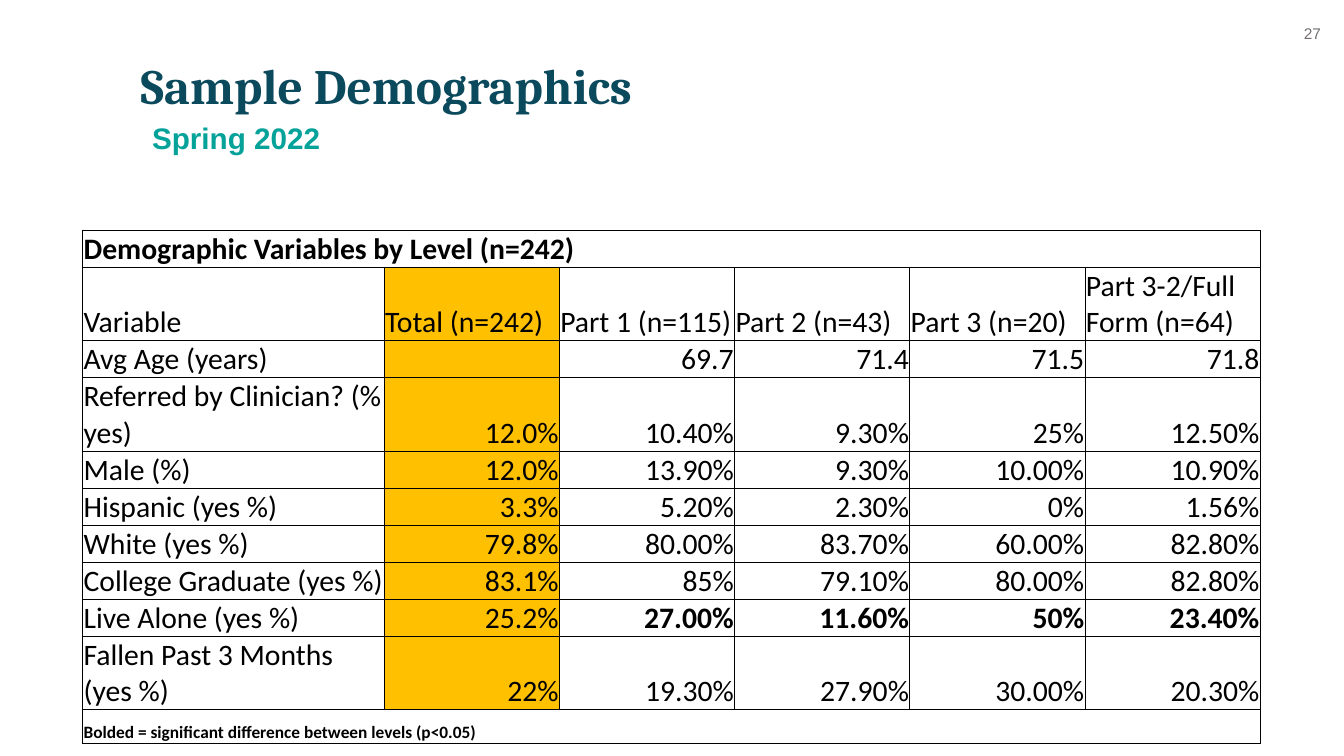
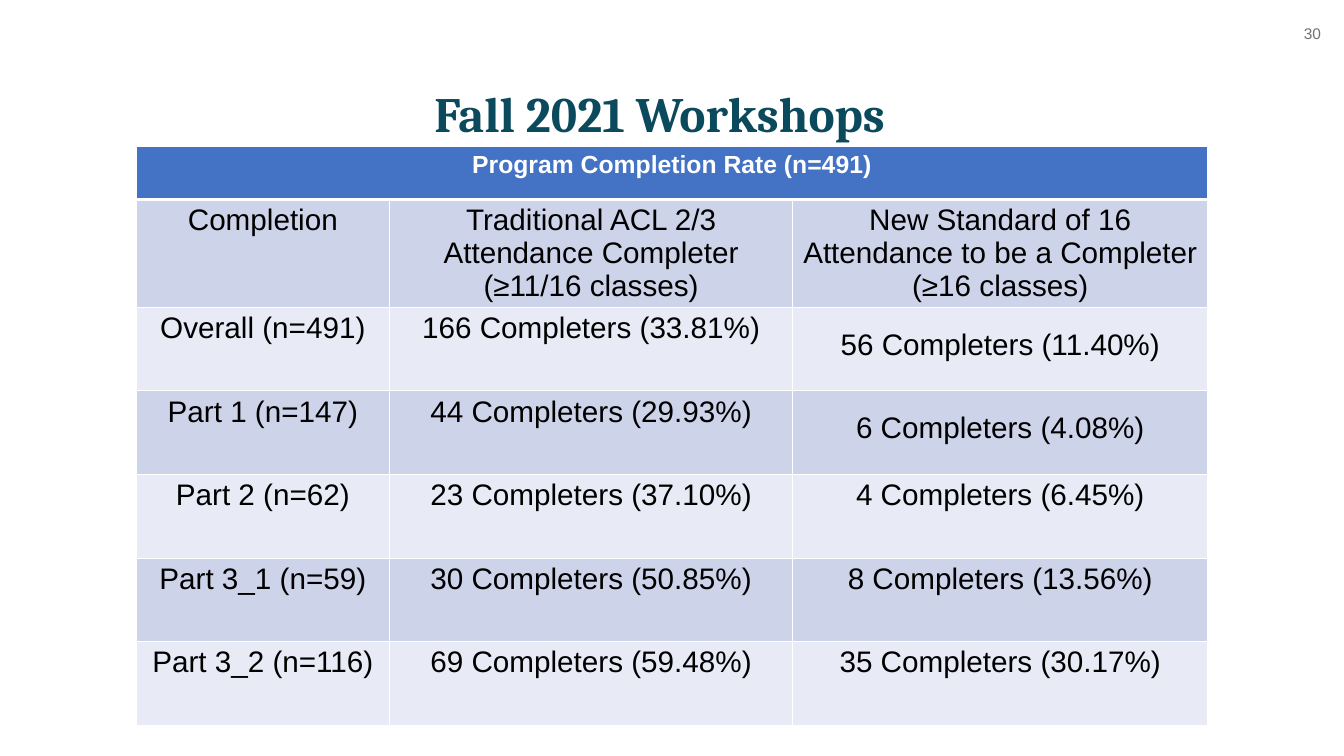
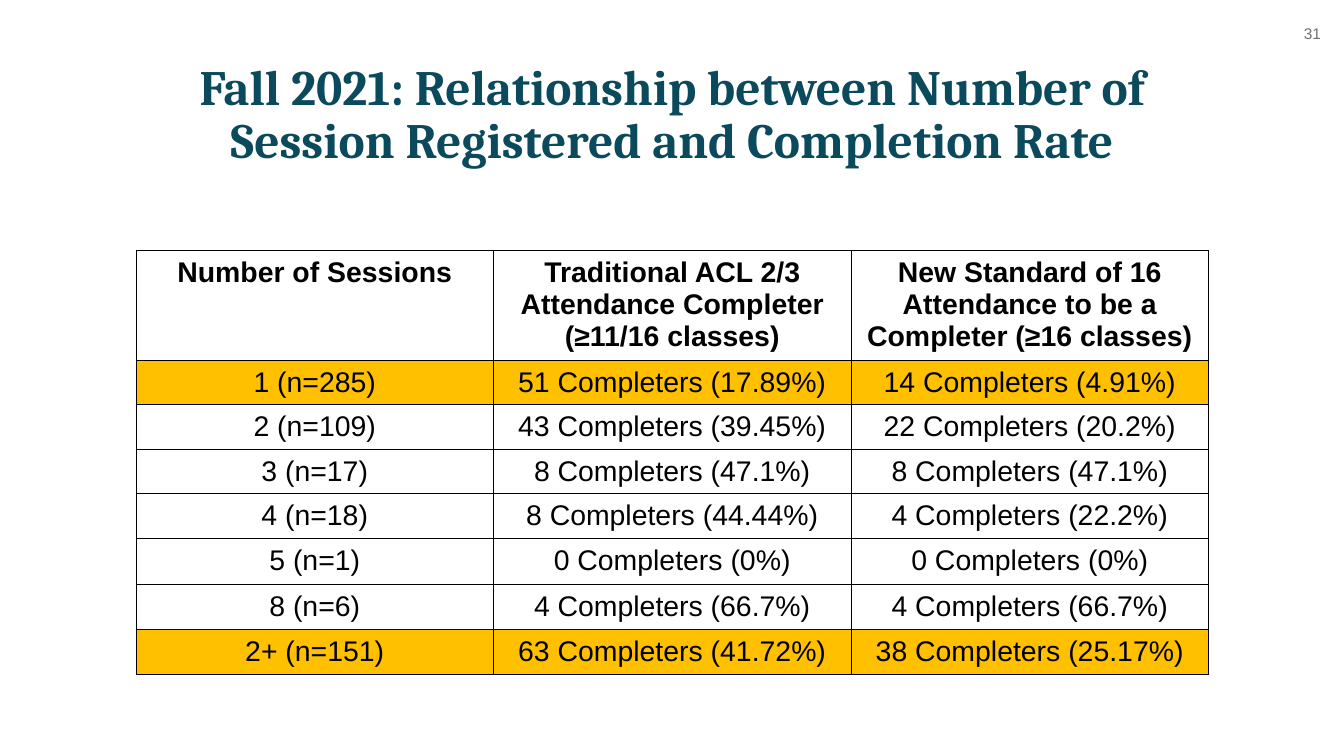
from lxml import etree
from pptx import Presentation
from pptx.dml.color import RGBColor
from pptx.enum.text import MSO_ANCHOR, MSO_AUTO_SIZE, PP_ALIGN
from pptx.oxml.ns import qn
from pptx.util import Inches, Pt

LEFT, CENTER, RIGHT = PP_ALIGN.LEFT, PP_ALIGN.CENTER, PP_ALIGN.RIGHT
TOP, MIDDLE, BOTTOM = MSO_ANCHOR.TOP, MSO_ANCHOR.MIDDLE, MSO_ANCHOR.BOTTOM
CONTENT_LAYOUT, TITLE_LAYOUT = 1, 5

NAVY, TEAL, GREY = "0B4A5D", "04A299", "757070"
BLACK, WHITE, AMBER = "000000", "FFFFFF", "FFC000"
BLUE, BAND_DARK, BAND_LIGHT = "4472C4", "CDD4EA", "E8EBF5"

TITLE_FONT = dict(name="Cambria", size=40, bold=True, color=NAVY)
SUBTITLE_FONT = dict(name="Arial", size=24, bold=True, color=TEAL)
NUMBER_FONT = dict(name="Arial", size=12.5, bold=False, color=GREY)

TRADITIONAL = "Traditional ACL 2/3 Attendance Completer\n(≥11/16 classes)"
NEW_STANDARD = "New Standard of 16 Attendance to be a Completer (≥16 classes)"

DEMOGRAPHICS = [
    ["Demographic Variables by Level (n=242)"],
    ["Variable", "Total (n=242)", "Part 1 (n=115)", "Part 2 (n=43)", "Part 3 (n=20)", "Part 3-2/Full Form (n=64)"],
    ["Avg Age (years)", "", "69.7", "71.4", "71.5", "71.8"],
    ["Referred by Clinician? (% yes)", "12.0%", "10.40%", "9.30%", "25%", "12.50%"],
    ["Male (%)", "12.0%", "13.90%", "9.30%", "10.00%", "10.90%"],
    ["Hispanic (yes %)", "3.3%", "5.20%", "2.30%", "0%", "1.56%"],
    ["White (yes %)", "79.8%", "80.00%", "83.70%", "60.00%", "82.80%"],
    ["College Graduate (yes %)", "83.1%", "85%", "79.10%", "80.00%", "82.80%"],
    ["Live Alone (yes %)", "25.2%", "27.00%", "11.60%", "50%", "23.40%"],
    ["Fallen Past 3 Months (yes %)", "22%", "19.30%", "27.90%", "30.00%", "20.30%"],
    ["Bolded = significant difference between levels (p<0.05)"],
]
COMPLETION = [
    ["Program Completion Rate (n=491)"],
    ["Completion", TRADITIONAL, NEW_STANDARD],
    ["Overall (n=491)", "166 Completers (33.81%)", "56 Completers (11.40%)"],
    ["Part 1 (n=147)", "44 Completers (29.93%)", "6 Completers (4.08%)"],
    ["Part 2 (n=62)", "23 Completers (37.10%)", "4 Completers (6.45%)"],
    ["Part 3_1 (n=59)", "30 Completers (50.85%)", "8 Completers (13.56%)"],
    ["Part 3_2 (n=116)", "69 Completers (59.48%)", "35 Completers (30.17%)"],
]
SESSIONS = [
    ["Number of Sessions", TRADITIONAL, NEW_STANDARD],
    ["1 (n=285)", "51 Completers (17.89%)", "14 Completers (4.91%)"],
    ["2 (n=109)", "43 Completers (39.45%)", "22 Completers (20.2%)"],
    ["3 (n=17)", "8 Completers (47.1%)", "8 Completers (47.1%)"],
    ["4 (n=18)", "8 Completers (44.44%)", "4 Completers (22.2%)"],
    ["5 (n=1)", "0 Completers (0%)", "0 Completers (0%)"],
    ["8 (n=6)", "4 Completers (66.7%)", "4 Completers (66.7%)"],
    ["2+ (n=151)", "63 Completers (41.72%)", "38 Completers (25.17%)"],
]


def demographics_style(row, col):
    note, live_alone = len(DEMOGRAPHICS) - 1, 8
    banner = row in (0, note)
    return dict(
        name="Calibri",
        size=14 if row == note else 24,
        bold=banner or (row == live_alone and col > 1),
        fill=AMBER if col == 1 and not banner else None,
        align=RIGHT if row > 1 and col else LEFT,
    )


def completion_style(row, col):
    if row == 0:
        return dict(size=20, bold=True, color=WHITE, fill=BLUE)
    return dict(
        size=24,
        fill=BAND_DARK if row % 2 else BAND_LIGHT,
        spacing=1.5 if row in (2, 3) and col == 2 else 1.0,
    )


def sessions_style(row, col):
    highlighted = row in (1, len(SESSIONS) - 1)
    return dict(size=23, bold=row == 0, fill=AMBER if highlighted else None)


SLIDES = [
    dict(
        number="27", title="Sample Demographics", title_box=(1.48, 0.37, 10, 1.25), title_align=LEFT,
        subtitle="Spring 2022", subtitle_box=(1.61, 1.34, 10, 0.83),
        rows=DEMOGRAPHICS, style=demographics_style, origin=(0.93, 2.59),
        widths=[3.39] + [1.97] * 5,
        heights=[0.41, 0.82, 0.41, 0.82] + [0.41] * 5 + [0.82, 0.38],
        insets=(0.01, 0.01, 0.01, 0), anchor=BOTTOM,
        rule=dict(color=BLACK, inner=0.75, outer=1, header=0.75),
    ),
    dict(
        number="30", title="Fall 2021 Workshops", title_box=(1.39, 0.68, 12.05, 1.25), title_align=CENTER,
        rows=COMPLETION, style=completion_style, origin=(1.53, 1.65),
        widths=[2.85, 4.53, 4.67], heights=[0.59, 1.19] + [0.94] * 5,
        insets=(0.1, 0.05, 0.1, 0.05), anchor=TOP,
        rule=dict(color=WHITE, inner=1, outer=1, header=3),
    ),
    dict(
        number="31", title="Fall 2021: Relationship between Number of Session Registered and Completion Rate",
        title_box=(1.53, 0.68, 12.05, 1.25), title_align=CENTER,
        rows=SESSIONS, style=sessions_style, origin=(1.53, 2.82),
        widths=[4.02] * 3, heights=[1.23] + [0.5] * 4 + [0.52, 0.51, 0.5],
        insets=(0.07, 0.07, 0.07, 0.07), anchor=TOP,
        rule=dict(color=BLACK, inner=1, outer=1, header=1),
    ),
]


def rgb(value):
    return RGBColor.from_string(value)


def set_all(target, values):
    for attribute, value in values.items():
        setattr(target, attribute, value)


def set_margins(target, insets):
    sides = ("margin_left", "margin_top", "margin_right", "margin_bottom")
    set_all(target, dict(zip(sides, map(Inches, insets))))


def format_paragraph(paragraph, font, align, spacing):
    set_all(paragraph, dict(alignment=align, line_spacing=spacing, space_before=Pt(0)))
    set_all(paragraph.font, dict(name=font["name"], size=Pt(font["size"]), bold=font["bold"]))
    paragraph.font.color.rgb = rgb(font["color"])


def write(shape, text, box, font, align, anchor, spacing=0.9, insets=(0.1, 0.05, 0.1, 0.05)):
    set_all(shape, dict(zip(("left", "top", "width", "height"), map(Inches, box))))
    frame = shape.text_frame
    frame.text = text
    set_all(frame, dict(word_wrap=True, auto_size=MSO_AUTO_SIZE.NONE, vertical_anchor=anchor))
    set_margins(frame, insets)
    paragraph = frame.paragraphs[0]
    properties = paragraph._p.get_or_add_pPr()
    properties.set("marL", "0")
    properties.set("indent", "0")
    etree.SubElement(properties, qn("a:buNone"))
    format_paragraph(paragraph, font, align, spacing)


def add_borders(cell, color, widths):
    properties = cell._tc.get_or_add_tcPr()
    for side, width in zip("LRTB", widths):
        line = etree.SubElement(properties, qn(f"a:ln{side}"), w=str(Pt(width)))
        fill = etree.SubElement(line, qn("a:solidFill"))
        etree.SubElement(fill, qn("a:srgbClr"), val=color)


def border_widths(rule, row, col, last_row, last_col):
    inner, outer, header = rule["inner"], rule["outer"], rule["header"]
    top = {0: outer, 1: header}.get(row, inner)
    bottom = {0: header, last_row: outer}.get(row, inner)
    return outer if col == 0 else inner, outer if col == last_col else inner, top, bottom


def add_data_table(slide, data):
    widths, heights = data["widths"], data["heights"]
    last_row, last_col = len(heights) - 1, len(widths) - 1
    left, top = data["origin"]
    frame = slide.shapes.add_table(
        len(heights), len(widths), Inches(left), Inches(top), Inches(sum(widths)), Inches(sum(heights)))
    table = frame.table
    set_all(table, dict(first_row=False, horz_banding=False))
    for column, width in zip(table.columns, widths):
        column.width = Inches(width)
    for table_row, height in zip(table.rows, heights):
        table_row.height = Inches(height)

    for row, texts in enumerate(data["rows"]):
        if len(texts) == 1:
            table.cell(row, 0).merge(table.cell(row, last_col))
        for col in range(len(widths)):
            cell = table.cell(row, col)
            style = dict(name="Arial", bold=False, color=BLACK, align=CENTER, spacing=1.0)
            style.update(data["style"](row, col))
            set_margins(cell, data["insets"])
            cell.vertical_anchor = data["anchor"]
            add_borders(cell, data["rule"]["color"], border_widths(data["rule"], row, col, last_row, last_col))
            if style["fill"]:
                cell.fill.solid()
                cell.fill.fore_color.rgb = rgb(style["fill"])
            else:
                cell.fill.background()
            if col < len(texts):
                cell.text = texts[col]
                for paragraph in cell.text_frame.paragraphs:
                    format_paragraph(paragraph, style, style["align"], style["spacing"])


def add_slide(deck, data):
    layout = CONTENT_LAYOUT if "subtitle" in data else TITLE_LAYOUT
    slide = deck.slides.add_slide(deck.slide_layouts[layout])
    write(slide.shapes.title, data["title"], data["title_box"], TITLE_FONT, data["title_align"], MIDDLE)
    if "subtitle" in data:
        write(slide.placeholders[1], data["subtitle"], data["subtitle_box"], SUBTITLE_FONT, LEFT, TOP)
    add_data_table(slide, data)
    page_number = slide.shapes.add_textbox(0, 0, 0, 0)
    write(page_number, data["number"], (14.5, 0.27, 0.51, 0.31), NUMBER_FONT, CENTER, TOP, 1.0, (0, 0, 0, 0))


def main():
    deck = Presentation()
    set_all(deck, dict(slide_width=Inches(15.11), slide_height=Inches(8.5)))
    for data in SLIDES:
        add_slide(deck, data)
    deck.save("out.pptx")


if __name__ == "__main__":
    main()
